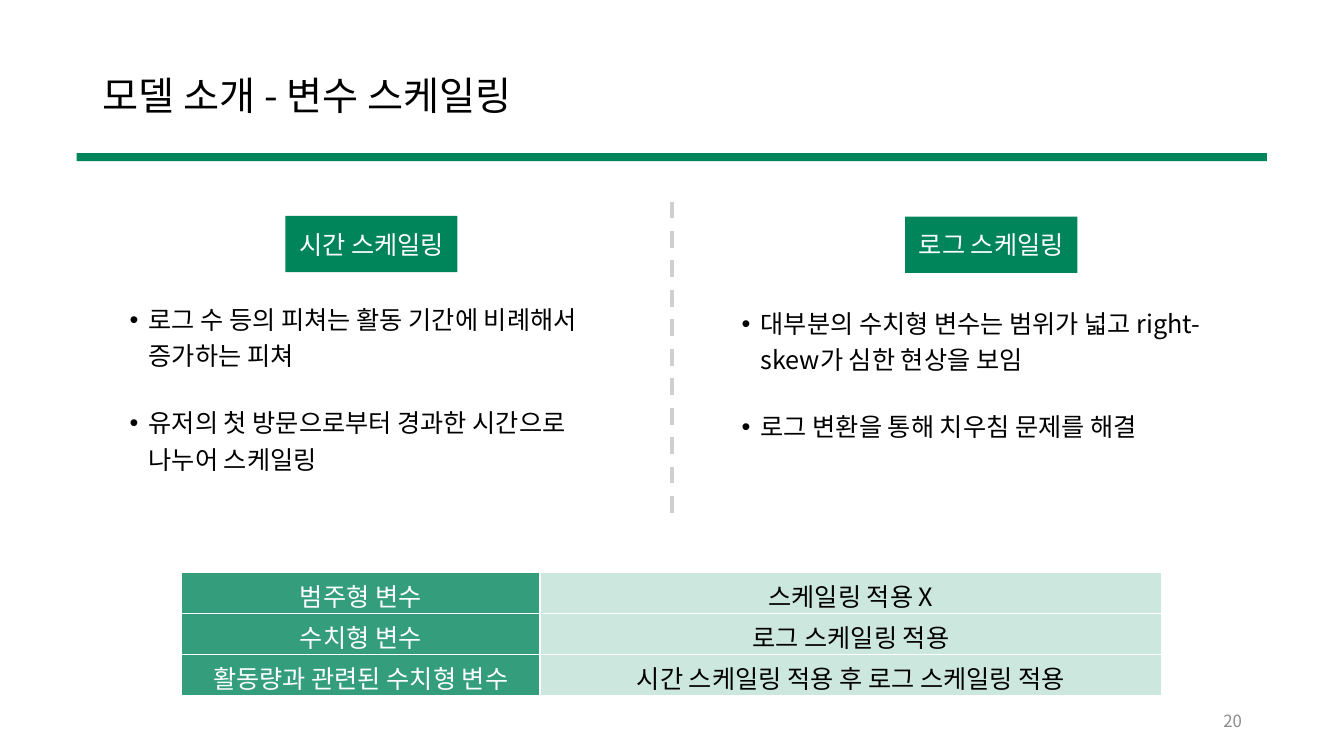
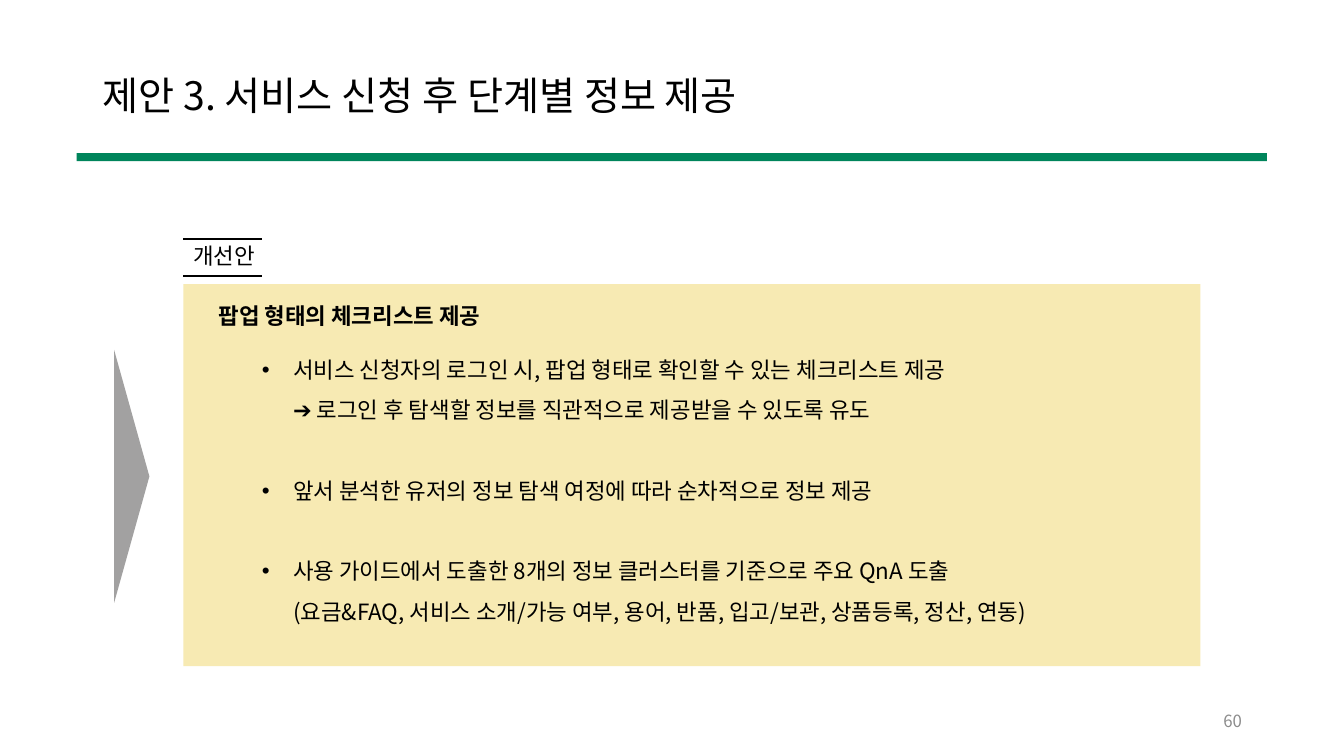
from dataclasses import dataclass

from lxml.etree import SubElement
from pptx import Presentation
from pptx.dml.color import RGBColor
from pptx.enum.dml import MSO_LINE
from pptx.enum.shapes import MSO_CONNECTOR, MSO_SHAPE
from pptx.enum.text import MSO_ANCHOR, PP_ALIGN
from pptx.oxml.ns import qn
from pptx.util import Cm, Pt


@dataclass(frozen=True)
class Theme:
    """Colours, typeface and type sizes of the deck."""

    font: str = "Noto Sans CJK KR"
    green: str = "00855B"
    label_green: str = "339D7C"
    value_green: str = "CCE7DE"
    cream: str = "F7EAB3"
    arrow_grey: str = "A2A1A1"
    divider_grey: str = "D0CECE"
    number_grey: str = "8C8C8C"
    black: str = "000000"
    white: str = "FFFFFF"
    title_size: int = 28
    body_size: int = 18
    detail_size: int = 16
    number_size: int = 12


class DeckBuilder:
    """Draws styled elements on the current slide of a deck."""

    def __init__(self, theme):
        """Start a widescreen deck."""
        self.theme = theme
        self.deck = Presentation()
        self.deck.slide_width, self.deck.slide_height = Cm(33.87), Cm(19.05)
        self.page = None

    def start_page(self, title, number):
        """Add a page with its title, green band and page number."""
        theme = self.theme
        self.page = self.deck.slides.add_slide(self.deck.slide_layouts[6])
        self.shape((1.93, 3.86, 30, 0.2), theme.green)
        self.text((23.93, 17.65, 7.62, 1.02), [str(number)], theme.number_size,
                  color=theme.number_grey, anchor=MSO_ANCHOR.MIDDLE,
                  alignment=PP_ALIGN.RIGHT)
        self.text((2.34, 1.42, 29.21, 2.11), [title], theme.title_size,
                  anchor=MSO_ANCHOR.MIDDLE, line_spacing=0.9)

    def style_spans(self, para, size, color, bold=False):
        """Apply the type style to every span of a paragraph."""
        values = {"name": self.theme.font, "size": Pt(size), "bold": bold}
        for span in para.runs:
            for name, value in values.items():
                setattr(span.font, name, value)
            span.font.color.rgb = RGBColor.from_string(color)
            SubElement(span.font._element, qn("a:ea"), typeface=self.theme.font)
        for line_break in para._p.findall(qn("a:br")):
            line_break.insert(0, line_break.makeelement(qn("a:rPr"), sz=str(size * 100)))

    def fill_frame(self, frame, lines, size, color, bold=False, indent=0, gap=0, **formats):
        """Fill a text frame, with bullets when an indent is given."""
        for index, line in enumerate(lines):
            para = frame.add_paragraph() if index else frame.paragraphs[0]
            para.text = line.replace("\n", "\v")
            if indent:
                properties = para._p.get_or_add_pPr()
                properties.set("marL", str(Cm(indent)))
                properties.set("indent", str(-Cm(indent)))
                SubElement(properties, qn("a:buFont"), typeface="Arial")
                SubElement(properties, qn("a:buChar"), char="•")
            for name, value in formats.items():
                setattr(para, name, value)
            if index:
                para.space_before = Pt(gap)
            self.style_spans(para, size, color, bold)

    def text(self, area, lines, size, color=None, anchor=MSO_ANCHOR.TOP, **formats):
        """Add a wrapping text box."""
        box = self.page.shapes.add_textbox(*map(Cm, area))
        box.text_frame.word_wrap = True
        box.text_frame.vertical_anchor = anchor
        self.fill_frame(box.text_frame, lines, size, color or self.theme.black, **formats)

    def shape(self, area, color, kind=MSO_SHAPE.RECTANGLE, rotation=0):
        """Add a flat filled shape."""
        shape = self.page.shapes.add_shape(kind, *map(Cm, area))
        shape.shadow.inherit = False
        shape.fill.solid()
        shape.fill.fore_color.rgb = RGBColor.from_string(color)
        shape.line.fill.background()
        shape.rotation = rotation
        return shape

    def tag(self, left, top, caption):
        """Add a green caption tag."""
        theme = self.theme
        frame = self.shape((left, top, 4.34, 1.42), theme.green).text_frame
        frame.vertical_anchor = MSO_ANCHOR.MIDDLE
        frame.word_wrap = True
        self.fill_frame(frame, [caption], theme.body_size, theme.white,
                        alignment=PP_ALIGN.CENTER)

    def line(self, start, end, color, width, dash=None):
        """Add a straight line."""
        line = self.page.shapes.add_connector(
            MSO_CONNECTOR.STRAIGHT, *map(Cm, (*start, *end)))
        line.line.color.rgb = RGBColor.from_string(color)
        line.line.width = Pt(width)
        line.line.dash_style = dash
        SubElement(line._element.spPr, qn("a:effectLst"))

    def border(self, cell):
        """Give a cell thin white borders."""
        properties = cell._tc.get_or_add_tcPr()
        for side in ("lnL", "lnR", "lnT", "lnB"):
            edge = SubElement(properties, qn(f"a:{side}"), w=str(Pt(1)))
            fill = SubElement(edge, qn("a:solidFill"))
            SubElement(fill, qn("a:srgbClr"), val=self.theme.white)

    def table(self, area, widths, rows):
        """Add a table of labels and values."""
        theme = self.theme
        table = self.page.shapes.add_table(
            len(rows), len(widths), *map(Cm, area)).table
        table.first_row = table.horz_banding = False
        for column, width in zip(table.columns, widths):
            column.width = Cm(width)
        looks = ((theme.label_green, theme.white), (theme.value_green, theme.black))
        for row, captions in zip(table.rows, rows):
            for cell, caption, (fill, color) in zip(row.cells, captions, looks):
                self.border(cell)
                cell.fill.solid()
                cell.fill.fore_color.rgb = RGBColor.from_string(fill)
                self.fill_frame(cell.text_frame, [caption], theme.body_size, color,
                                alignment=PP_ALIGN.CENTER)


def add_scaling_page(builder):
    """Build the page on variable scaling."""
    theme = builder.theme
    builder.start_page("모델 소개 - 변수 스케일링", 20)
    builder.line((16.94, 5.08), (16.94, 13.03), theme.divider_grey, 3, MSO_LINE.DASH)
    columns = (
        ((7.19, 5.44), "시간 스케일링", (3.02, 7.39, 12.7, 4.83),
         ["로그 수 등의 피쳐는 활동 기간에 비례해서 증가하는 피쳐",
          "유저의 첫 방문으로부터 경과한 시간으로\n나누어 스케일링"]),
        ((22.81, 5.46), "로그 스케일링", (18.44, 7.49, 13.11, 3.89),
         ["대부분의 수치형 변수는 범위가 넓고 right- skew가 심한 현상을 보임",
          "로그 변환을 통해 치우침 문제를 해결"]),
    )
    for corner, caption, area, points in columns:
        builder.tag(*corner, caption)
        builder.text(area, points, theme.body_size, indent=0.48, gap=22,
                     line_spacing=1.2)
    builder.table((4.57, 14.43, 24.71, 3.1), (9.04, 15.67), (
        ("범주형 변수", "스케일링 적용 X"),
        ("수치형 변수", "로그 스케일링 적용"),
        ("활동량과 관련된 수치형 변수", "시간 스케일링 적용 후 로그 스케일링 적용"),
    ))


def add_proposal_page(builder):
    """Build the page on the third proposal."""
    theme = builder.theme
    builder.start_page("제안 3. 서비스 신청 후 단계별 정보 제공", 60)
    builder.shape((4.62, 7.16, 25.63, 9.63), theme.cream)
    builder.shape((0.13, 11.56, 6.38, 0.89), theme.arrow_grey,
                  MSO_SHAPE.ISOSCELES_TRIANGLE, 90)
    builder.text((4.62, 5.97, 7.57, 0.94), ["개선안"], theme.detail_size)
    for top in (6.02, 6.96):
        builder.line((4.62, top), (6.6, top), theme.black, 1.5)
    builder.text((5.26, 7.16, 12.75, 1.19), ["팝업 형태의 체크리스트 제공"],
                 theme.detail_size, bold=True, line_spacing=1.5)
    builder.text((6.35, 8.51, 23.34, 9.4), [
        "서비스 신청자의 로그인 시, 팝업 형태로 확인할 수 있는 체크리스트 제공\n"
        "➔ 로그인 후 탐색할 정보를 직관적으로 제공받을 수 있도록 유도",
        "앞서 분석한 유저의 정보 탐색 여정에 따라 순차적으로 정보 제공",
        "사용 가이드에서 도출한 8개의 정보 클러스터를 기준으로 주요 QnA 도출\n"
        "(요금&FAQ, 서비스 소개/가능 여부, 용어, 반품, 입고/보관, 상품등록, 정산, 연동)",
    ], theme.detail_size, indent=0.79, gap=28.8, line_spacing=1.5)


def main():
    """Build and save the deck."""
    builder = DeckBuilder(Theme())
    add_scaling_page(builder)
    add_proposal_page(builder)
    builder.deck.save("out.pptx")


if __name__ == "__main__":
    main()
